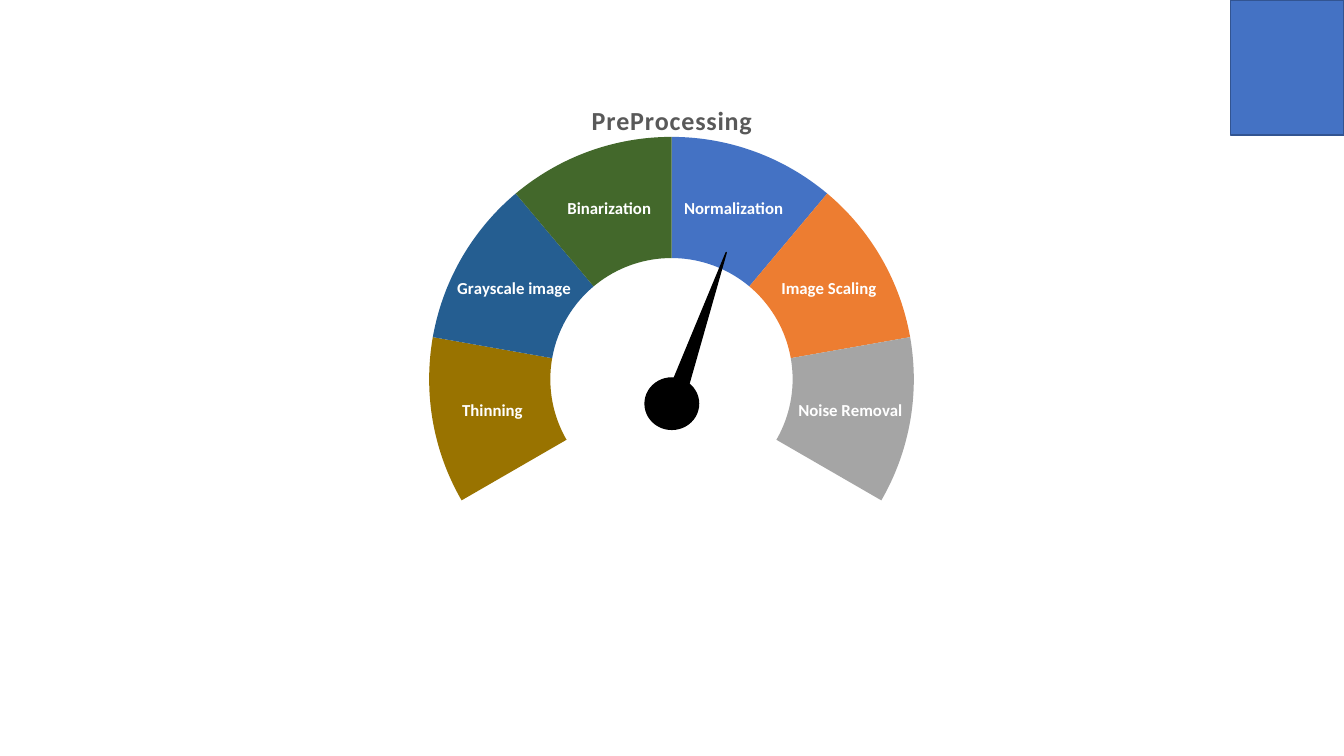
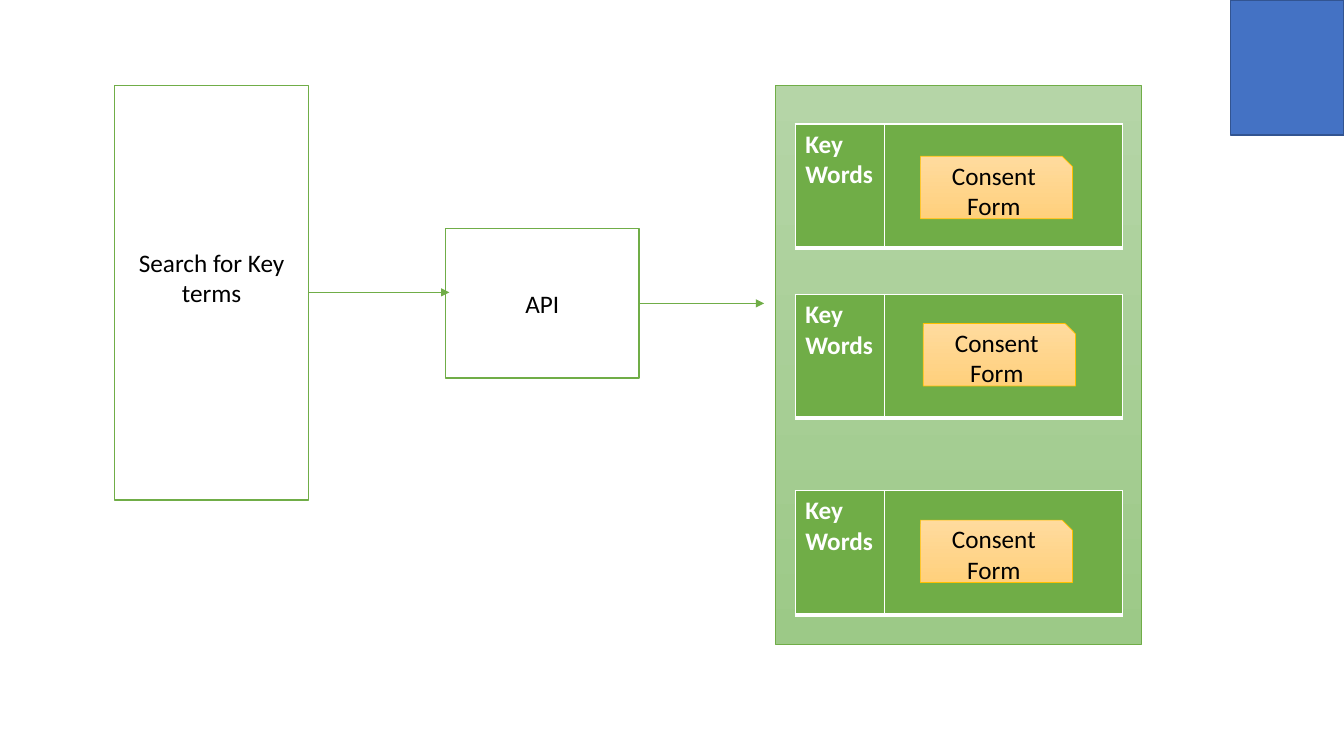
from dataclasses import dataclass
from typing import Optional

from lxml import etree
from pptx import Presentation
from pptx.chart.data import CategoryChartData
from pptx.dml.color import RGBColor
from pptx.enum.chart import XL_CHART_TYPE
from pptx.enum.shapes import MSO_CONNECTOR, MSO_SHAPE
from pptx.enum.text import MSO_ANCHOR, PP_ALIGN
from pptx.oxml import parse_xml
from pptx.oxml.ns import nsdecls, qn
from pptx.shapes.autoshape import Shape
from pptx.slide import Slide
from pptx.util import Pt

DOUGHNUT = XL_CHART_TYPE.DOUGHNUT
STRAIGHT = MSO_CONNECTOR.STRAIGHT
PROCESS = MSO_SHAPE.FLOWCHART_PROCESS
RECT = MSO_SHAPE.RECTANGLE
OVAL = MSO_SHAPE.OVAL
TRIANGLE = MSO_SHAPE.ISOSCELES_TRIANGLE
SNIPPED = MSO_SHAPE.SNIP_1_RECTANGLE
MIDDLE = MSO_ANCHOR.MIDDLE
CENTER = PP_ALIGN.CENTER
LEFT = PP_ALIGN.LEFT

FONT = "Calibri"
WHITE = RGBColor(0xFF, 0xFF, 0xFF)
BLACK = RGBColor(0x00, 0x00, 0x00)
GRAY_TEXT = RGBColor(0x59, 0x59, 0x59)
BLUE = RGBColor(0x44, 0x72, 0xC4)
BLUE_EDGE = RGBColor(0x32, 0x54, 0x91)
ORANGE = RGBColor(0xED, 0x7D, 0x31)
GRAY = RGBColor(0xA5, 0xA5, 0xA5)
BROWN = RGBColor(0x99, 0x73, 0x00)
NAVY = RGBColor(0x25, 0x5E, 0x91)
DARK_GREEN = RGBColor(0x43, 0x68, 0x2B)
GREEN = RGBColor(0x70, 0xAD, 0x47)
GOLD = RGBColor(0xFF, 0xC0, 0x00)
GREEN_FADE = (RGBColor(0xB5, 0xD5, 0xA7), RGBColor(0x9C, 0xC9, 0x87))
GOLD_FADE = (RGBColor(0xFF, 0xDB, 0x9E), RGBColor(0xFF, 0xD0, 0x7C))


@dataclass(frozen=True)
class Box:
    x: float
    y: float
    w: float
    h: float

    def emu(self) -> tuple:
        return Pt(self.x), Pt(self.y), Pt(self.w), Pt(self.h)


@dataclass(frozen=True)
class Step:
    name: str
    value: float
    color: Optional[RGBColor] = None


@dataclass(frozen=True)
class Record:
    top: float
    form_x: float
    form_y: float


@dataclass(frozen=True)
class Arrow:
    x1: float
    x2: float
    y: float


GAP = Step("", 5.5)
STEPS = [
    Step("Normalization", 11, BLUE),
    Step("Image Scaling", 11, ORANGE),
    Step("Noise Removal", 11, GRAY),
    *[GAP] * 6,
    Step("Thinning", 11, BROWN),
    Step("Grayscale image", 11, NAVY),
    Step("Binarization", 11, DARK_GREEN),
]
RECORDS = [
    Record(88.6, 657.4, 111.6),
    Record(210.2, 659.5, 231.1),
    Record(350.6, 657.4, 371.5),
]
ARROWS = [Arrow(220.4, 321, 208.8), Arrow(456.5, 545.8, 216.7)]


def put_text(tf, text: str, *, size: float = 18, color: RGBColor = BLACK,
             bold: bool = False, align=CENTER, spacing: int = 0) -> None:
    p = tf.paragraphs[0]
    p.alignment = align
    r = p.add_run()
    r.text = text
    r.font.name = FONT
    r.font.size = Pt(size)
    r.font.bold = bold
    r.font.color.rgb = color
    if spacing:
        r._r.get_or_add_rPr().set("spc", str(spacing))


def add_box(slide: Slide, kind, box: Box, line: RGBColor, *,
            fill: RGBColor = WHITE, fade: Optional[tuple] = None,
            width: float = 1, text: str = "", bottom: float = 3.6) -> Shape:
    sp = slide.shapes.add_shape(kind, *box.emu())
    sp.shadow.inherit = False
    sp.line.color.rgb = line
    sp.line.width = Pt(width)
    if fade:
        sp.fill.gradient()
        sp.fill.gradient_angle = 270
        for stop, color in zip(sp.fill.gradient_stops, fade):
            stop.color.rgb = color
    else:
        sp.fill.solid()
        sp.fill.fore_color.rgb = fill
    if text:
        tf = sp.text_frame
        tf.word_wrap = True
        tf.vertical_anchor = MIDDLE
        tf.margin_bottom = Pt(bottom)
        put_text(tf, text)
    return sp


def add_arrow(slide: Slide, arrow: Arrow) -> None:
    cxn = slide.shapes.add_connector(
        STRAIGHT, Pt(arrow.x1), Pt(arrow.y), Pt(arrow.x2), Pt(arrow.y))
    cxn.line.color.rgb = GREEN
    cxn.line.width = Pt(0.5)
    etree.SubElement(cxn.line._get_or_add_ln(), qn("a:tailEnd"), type="triangle")
    etree.SubElement(cxn.element.spPr, qn("a:effectLst"))


def add_corner_to_master(prs, slide: Slide) -> None:
    sp = add_box(slide, PROCESS, Box(879, 0, 81, 96.5), BLUE_EDGE, fill=BLUE)
    tree = prs.slide_master.shapes.element
    sp.element.nvSpPr.cNvPr.set("id", "100")
    tree.append(sp.element)


def add_gauge_chart(slide: Slide) -> None:
    data = CategoryChartData()
    data.categories = [step.name for step in STEPS]
    data.add_series("PreProcessing", [step.value for step in STEPS])
    frame = slide.shapes.add_chart(DOUGHNUT, *Box(160, 57, 640, 427).emu(), data)
    chart = frame.chart
    chart.has_legend = False
    chart.font.name = FONT
    chart.font.size = Pt(10)
    chart.font.color.rgb = BLACK
    chart.has_title = True
    put_text(chart.chart_title.text_frame, "PreProcessing", size=18.6,
             color=GRAY_TEXT, bold=True, spacing=50)
    plot = chart.plots[0]
    plot.vary_by_categories = True
    series = plot.series[0]
    for i, step in enumerate(STEPS):
        fmt = series.points[i].format
        fmt.line.fill.background()
        if step.color is None:
            fmt.fill.background()
        else:
            fmt.fill.solid()
            fmt.fill.fore_color.rgb = step.color
    plot.has_data_labels = True
    for labels in (plot.data_labels, series.data_labels):
        labels.show_value = False
        labels.show_percentage = False
        labels.show_category_name = True
        labels.font.name = FONT
        labels.font.size = Pt(12)
        labels.font.bold = True
        labels.font.color.rgb = WHITE
    area = chart.element.find(".//" + qn("c:plotArea"))
    for old in area.findall(qn("c:layout")):
        area.remove(old)
    area.insert(0, parse_xml(
        f'<c:layout {nsdecls("c")}><c:manualLayout>'
        '<c:layoutTarget val="inner"/><c:xMode val="edge"/><c:yMode val="edge"/>'
        '<c:x val="0.229"/><c:y val="0.095"/><c:w val="0.541"/><c:h val="0.812"/>'
        '</c:manualLayout></c:layout>'))


def style_cell(cell) -> None:
    cell.fill.solid()
    cell.fill.fore_color.rgb = GREEN
    tc_pr = cell._tc.get_or_add_tcPr()
    for i, (side, width) in enumerate([("L", 1), ("R", 1), ("T", 1), ("B", 3)]):
        tc_pr.insert(i, parse_xml(
            f'<a:ln{side} {nsdecls("a")} w="{Pt(width)}"><a:solidFill>'
            f'<a:srgbClr val="{WHITE}"/></a:solidFill></a:ln{side}>'))


def add_record(slide: Slide, record: Record) -> None:
    box = Box(568.1, record.top, 233.6, 88.6)
    table = slide.shapes.add_table(1, 2, *box.emu()).table
    for column, width in zip(table.columns, (64, 169.6)):
        column.width = Pt(width)
    for cell in table.iter_cells():
        style_cell(cell)
    put_text(table.cell(0, 0).text_frame, "Key Words", color=WHITE, bold=True,
             align=LEFT)
    add_box(slide, SNIPPED, Box(record.form_x, record.form_y, 108.7, 44.6), GOLD,
            fade=GOLD_FADE, width=0.5, text="Consent Form")


def build_preprocessing(slide: Slide) -> None:
    add_gauge_chart(slide)
    add_box(slide, OVAL, Box(460.8, 270, 38.2, 36.7), BLACK, fill=BLACK)
    needle = add_box(slide, TRIANGLE, Box(492.5, 177.1, 13.7, 118.1), BLACK,
                     fill=BLACK)
    needle.rotation = 19.2


def build_search(slide: Slide) -> None:
    add_box(slide, RECT, Box(82, 61.2, 138.4, 296), GREEN,
            text="Search for Key terms", bottom=25.2)
    add_box(slide, RECT, Box(318.2, 163.4, 138.4, 106.6), GREEN, text="API")
    add_box(slide, RECT, Box(553.7, 61.2, 261.4, 398.9), GREEN,
            fade=GREEN_FADE, width=0.5)
    for record in RECORDS:
        add_record(slide, record)
    for arrow in ARROWS:
        add_arrow(slide, arrow)


def main() -> None:
    prs = Presentation()
    prs.slide_width, prs.slide_height = Pt(960), Pt(540)
    blank = prs.slide_layouts[6]
    slides = [prs.slides.add_slide(blank) for _ in range(2)]
    add_corner_to_master(prs, slides[0])
    build_preprocessing(slides[0])
    build_search(slides[1])
    prs.save("out.pptx")


if __name__ == "__main__":
    main()
